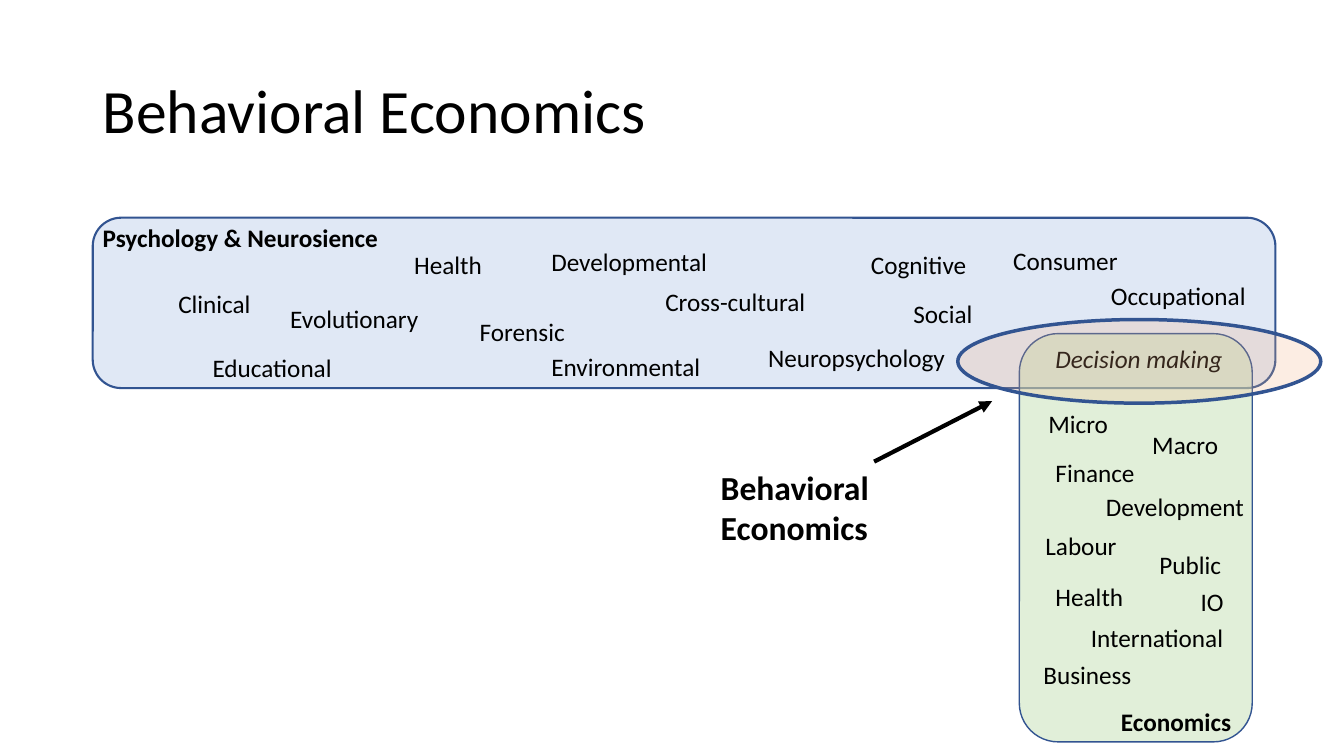
import lxml.etree
import pptx
import pptx.dml.color
import pptx.enum.shapes
import pptx.enum.text
import pptx.oxml.ns
import pptx.util

Inches = pptx.util.Inches
Pt = pptx.util.Pt
RGBColor = pptx.dml.color.RGBColor
MSO_SHAPE = pptx.enum.shapes.MSO_SHAPE
qn = pptx.oxml.ns.qn

BLACK = RGBColor(0x00, 0x00, 0x00)
WHITE = RGBColor(0xFF, 0xFF, 0xFF)
OUTLINE = RGBColor(0x32, 0x54, 0x91)
PSYCHOLOGY_BLUE = RGBColor(0x44, 0x72, 0xC4)
ECONOMICS_GREEN = RGBColor(0xC5, 0xE0, 0xB4)
OVERLAP_ORANGE = RGBColor(0xF4, 0xB1, 0x83)
FONT = "Calibri"

# text, left, top, width
PSYCHOLOGY_FIELDS = [
    ("Cognitive", 8.54, 2.42, 1.3),
    ("Clinical", 1.67, 2.81, 1.3),
    ("Social", 8.96, 2.91, 0.88),
    ("Developmental", 5.37, 2.39, 2.03),
    ("Forensic", 4.66, 3.09, 1.3),
    ("Evolutionary", 2.78, 2.96, 1.69),
    ("Health", 4.01, 2.42, 1.3),
    ("Occupational", 10.92, 2.73, 1.73),
    ("Neuropsychology", 7.52, 3.35, 2.03),
    ("Consumer", 9.95, 2.38, 1.3),
    ("Educational", 2.01, 3.45, 1.62),
    ("Cross-cultural", 6.5, 2.79, 1.76),
    ("Environmental", 5.37, 3.44, 2.19),
]
ECONOMICS_FIELDS = [
    ("Micro", 10.3, 4, 0.84),
    ("Macro", 11.33, 4.21, 1.03),
    ("Finance", 10.37, 4.49, 1.03),
    ("Public", 11.4, 5.4, 0.82),
    ("Labour", 10.27, 5.21, 1.03),
    ("Health", 10.37, 5.72, 1.03),
    ("Development", 10.87, 4.83, 1.58),
    ("IO", 11.81, 5.77, 0.44),
    ("Business", 10.25, 6.49, 1.3),
    ("International", 10.72, 6.12, 1.58),
]


def set_title(s, text):
    title = s.shapes.title
    title.left, title.top = Inches(0.92), Inches(0.4)
    title.width, title.height = Inches(11.5), Inches(1.45)
    tf = title.text_frame
    tf.text = text
    tf.vertical_anchor = pptx.enum.text.MSO_ANCHOR.MIDDLE
    p = tf.paragraphs[0]
    p.alignment = pptx.enum.text.PP_ALIGN.LEFT
    p.line_spacing = 0.9
    p.font.name, p.font.size = FONT, Pt(44)
    p.font.color.rgb = BLACK


def add_area(s, kind, left, top, width, height, color, opacity, line_width):
    """Add a translucent outlined shape; opacity is in percent."""
    sp = s.shapes.add_shape(kind, Inches(left), Inches(top), Inches(width), Inches(height))
    sp.shadow.inherit = False
    sp.fill.solid()
    sp.fill.fore_color.rgb = color
    clr = sp.fill._xPr.find(qn("a:solidFill"))[0]
    lxml.etree.SubElement(clr, qn("a:alpha"), val=str(opacity * 1000))
    sp.line.color.rgb = OUTLINE
    sp.line.width = Pt(line_width)


def add_label(s, text, left, top, width, height=0.4, size=18, bold=False, italic=False):
    box = s.shapes.add_textbox(Inches(left), Inches(top), Inches(width), Inches(height))
    tf = box.text_frame
    tf.word_wrap = True
    tf.text = text
    font = tf.paragraphs[0].font
    font.name, font.size = FONT, Pt(size)
    font.bold, font.italic = bold, italic
    font.color.rgb = BLACK


def add_arrow(s, x1, y1, x2, y2):
    arrow = s.shapes.add_connector(
        pptx.enum.shapes.MSO_CONNECTOR.STRAIGHT,
        Inches(x1), Inches(y1), Inches(x2), Inches(y2))
    arrow.line.color.rgb = BLACK
    arrow.line.width = Pt(3)
    lxml.etree.SubElement(arrow.line._get_or_add_ln(), qn("a:tailEnd"), type="triangle")
    lxml.etree.SubElement(arrow._element.spPr, qn("a:effectLst"))


def main():
    prs = pptx.Presentation()
    prs.slide_width, prs.slide_height = Inches(13.33), Inches(7.5)
    s = prs.slides.add_slide(prs.slide_layouts[5])
    s.background.fill.solid()
    s.background.fill.fore_color.rgb = WHITE
    set_title(s, "Behavioral Economics")

    add_area(s, MSO_SHAPE.ROUNDED_RECTANGLE, 0.92, 2.16, 11.73, 1.69, PSYCHOLOGY_BLUE, 16, 1.5)
    add_label(s, "Psychology & Neurosience", 0.92, 2.16, 3.07, bold=True)
    for field in PSYCHOLOGY_FIELDS:
        add_label(s, *field)

    add_area(s, MSO_SHAPE.ROUNDED_RECTANGLE, 10.11, 3.31, 2.31, 4.05, ECONOMICS_GREEN, 50, 1)
    add_label(s, "Economics", 11.02, 6.96, 1.3, bold=True)
    add_label(s, "Decision making", 10.37, 3.36, 1.94, italic=True)
    for field in ECONOMICS_FIELDS:
        add_label(s, *field)

    add_area(s, MSO_SHAPE.OVAL, 9.5, 3.17, 3.6, 0.83, OVERLAP_ORANGE, 22, 2.5)
    add_label(s, "Behavioral Economics", 7.05, 4.58, 2.5, 0.91, size=24, bold=True)
    add_arrow(s, 8.67, 4.58, 9.84, 3.98)

    prs.save("out.pptx")


if __name__ == "__main__":
    main()
